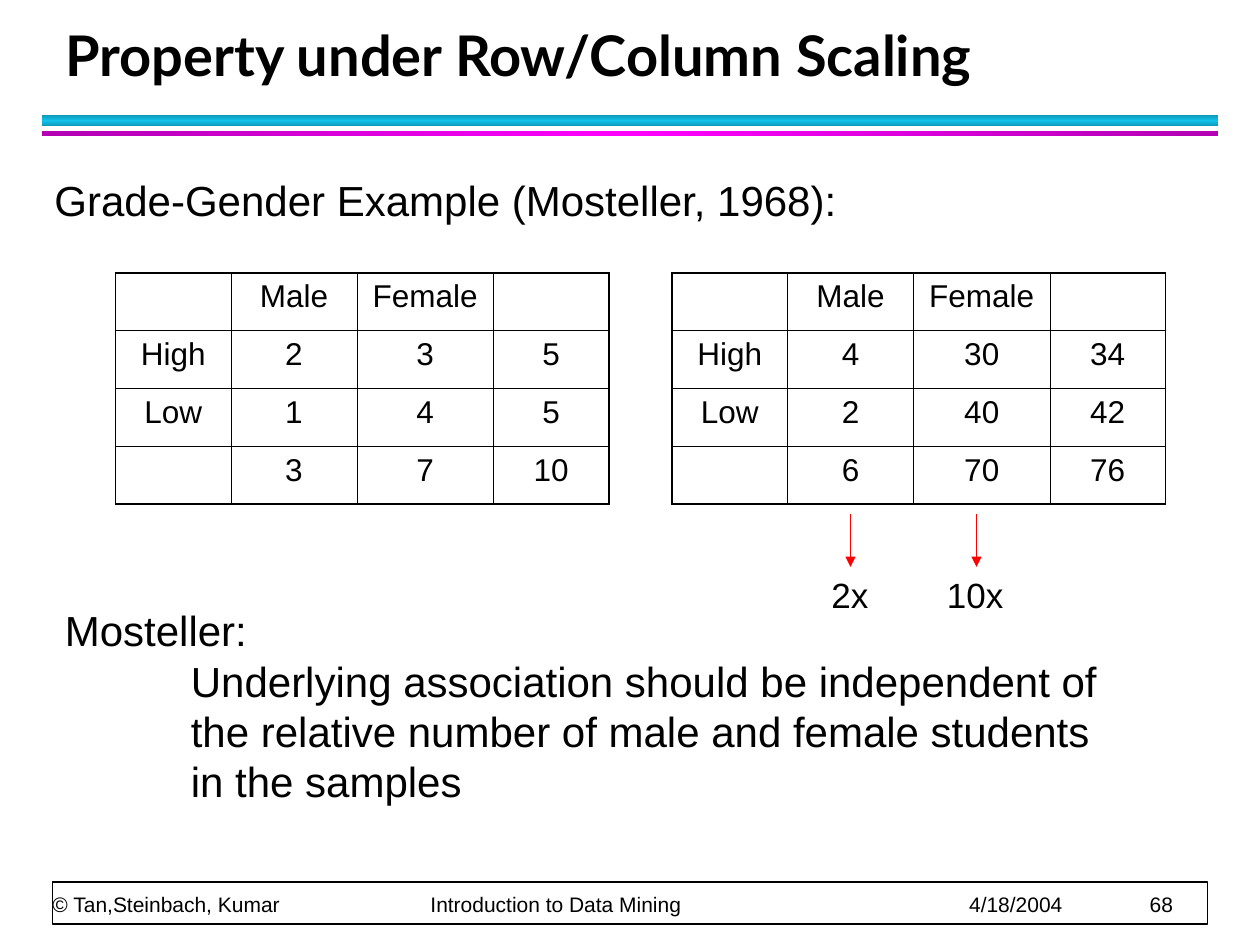
"""Build a slide on how row and column scaling affects a two-way table."""
import copy

import pptx
import pptx.dml.color
import pptx.enum.shapes
import pptx.enum.text
import pptx.oxml
import pptx.oxml.ns
import pptx.util

Pt = pptx.util.Pt
Anchor = pptx.enum.text.MSO_ANCHOR
Align = pptx.enum.text.PP_ALIGN
RECTANGLE = pptx.enum.shapes.MSO_SHAPE.RECTANGLE

COLORS = {
    "ink": "000000",
    "paper": "FFFFFF",
    "arrow": "FF0000",
    "teal_edge": "0E9BBA",
    "teal_core": "12C2E9",
    "magenta_edge": "B200B2",
    "magenta_core": "FF00FF",
}


def color(name):
    """Return the named colour."""
    return pptx.dml.color.RGBColor.from_string(COLORS[name])


def grid(*cells):
    """Turn counts of grid columns or rows, twelve to the inch, into lengths."""
    return [pptx.util.Inches(cell / 12) for cell in cells]


def add_xml(parent, tag, **attributes):
    """Append a drawing element and return it."""
    element = pptx.oxml.parse_xml(f"<a:{tag} {pptx.oxml.ns.nsdecls('a')}/>")
    for key, value in attributes.items():
        element.set(key, str(value))
    parent.append(element)
    return element


class ScalingSlide:
    """Holds the style and the current slide, on a grid of 120 columns by 90 rows."""

    font = "Arial"
    title_font = "Lato"
    thin, thick = Pt(0.45), Pt(1.08)

    def __init__(self, deck):
        """Open a title-only slide."""
        self.page = deck.slides.add_slide(deck.slide_layouts[5])

    def add_span(self, para, text, size, font=None, bold=False):
        """Add one styled run."""
        span = para.add_run()
        span.text = text
        span.font.size = Pt(size)
        span.font.name = font or self.font
        span.font.bold = bold
        span.font.color.rgb = color("ink")

    def title(self, text, *place):
        """Place and fill the title."""
        box = self.page.shapes.title
        box.left, box.top, box.width, box.height = grid(*place)
        frame = box.text_frame
        frame.auto_size = pptx.enum.text.MSO_AUTO_SIZE.NONE
        frame.vertical_anchor = Anchor.BOTTOM
        para = frame.paragraphs[0]
        para.alignment = Align.LEFT
        para.line_spacing = Pt(36)
        self.add_span(para, text, 32, self.title_font, True)

    def rectangle(self, *place):
        """Add a plain rectangle without shadow."""
        shape = self.page.shapes.add_shape(RECTANGLE, *grid(*place))
        shape.shadow.inherit = False
        return shape

    def band(self, hue, angle, *place):
        """Add a band that shades from its edges to its core."""
        shape = self.rectangle(*place)
        shape.line.fill.background()
        shape.fill.gradient()
        shape.fill.gradient_angle = angle
        edge, core = shape.fill.gradient_stops
        edge.color.rgb, edge.position = color(f"{hue}_edge"), 0
        core.color.rgb, core.position = color(f"{hue}_core"), 0.5
        stops = shape._element.spPr.find(".//" + pptx.oxml.ns.qn("a:gsLst"))
        stops.append(copy.deepcopy(stops[0]))
        shape.fill.gradient_stops[2].position = 1

    def text(self, lines, size, *place):
        """Add a text box from pairs of indent columns and wording."""
        frame = self.page.shapes.add_textbox(*grid(*place)).text_frame
        frame.word_wrap = True
        for index, (indent, wording) in enumerate(lines):
            para = frame.add_paragraph() if index else frame.paragraphs[0]
            para.line_spacing = Pt(size * 1.2)
            properties = para._p.get_or_add_pPr()
            properties.set("marL", str(grid(indent)[0]))
            properties.set("indent", "0")
            self.add_span(para, wording, size)

    def footer(self, parts, stops, *place):
        """Add the framed footer with its parts at tab stops."""
        frame_box = self.rectangle(5, 84, 110, 4)
        frame_box.fill.solid()
        frame_box.fill.fore_color.rgb = color("paper")
        frame_box.line.color.rgb = color("ink")
        frame_box.line.width = Pt(1)
        frame = self.page.shapes.add_textbox(*grid(*place)).text_frame
        frame.word_wrap = True
        frame.vertical_anchor = Anchor.BOTTOM
        frame.margin_left = frame.margin_right = 0
        frame.margin_top = frame.margin_bottom = 0
        para = frame.paragraphs[0]
        para.line_spacing = Pt(20)
        tabs = add_xml(para._p.get_or_add_pPr(), "tabLst")
        for stop in grid(*stops):
            add_xml(tabs, "tab", pos=stop, algn="l")
        self.add_span(para, "\t".join(parts), 12)

    def border(self, cell, sides):
        """Draw the cell's edges, thick where the flag is set."""
        for side, outer in sides.items():
            line = add_xml(cell._tc.get_or_add_tcPr(), f"ln{side}",
                           w=self.thick if outer else self.thin)
            add_xml(add_xml(line, "solidFill"), "srgbClr", val=COLORS["ink"])

    def table(self, rows, widths, row_height, left, top):
        """Add a ruled table with a heavier outer frame."""
        last_row, last_column = len(rows) - 1, len(widths) - 1
        place = grid(left, top, sum(widths), row_height * len(rows))
        table = self.page.shapes.add_table(len(rows), len(widths), *place).table
        table.first_row = table.horz_banding = False
        for column, width in zip(table.columns, grid(*widths)):
            column.width = width
        for r, values in enumerate(rows):
            table.rows[r].height = grid(row_height)[0]
            for c, value in enumerate(values):
                cell = table.cell(r, c)
                self.border(cell, {"L": c == 0, "R": c == last_column,
                                   "T": r == 0, "B": r == last_row})
                cell.fill.background()
                para = cell.text_frame.paragraphs[0]
                para.alignment = Align.CENTER
                if value:
                    self.add_span(para, value, 18)

    def arrow(self, column, top, bottom):
        """Add a downward arrow."""
        line = self.page.shapes.add_connector(
            pptx.enum.shapes.MSO_CONNECTOR.STRAIGHT,
            *grid(column, top, column, bottom))
        line.line.color.rgb = color("arrow")
        line.line.width = Pt(1)
        properties = line._element.spPr
        add_xml(properties.find(pptx.oxml.ns.qn("a:ln")), "tailEnd", type="triangle")
        add_xml(properties, "effectLst")


def main():
    """Build and save the deck."""
    deck = pptx.Presentation()
    deck.slide_width, deck.slide_height = grid(120, 90)
    slide = ScalingSlide(deck)
    slide.band("teal", 90, 4, 11, 112, 1)
    slide.band("magenta", 0, 4, 12.5, 112, 0.5)
    slide.footer(["© Tan,Steinbach, Kumar", "Introduction to Data Mining", "4/18/2004", "68"],
                 [36, 87.3, 104.5], 5, 80.6, 110, 6.75)
    slide.title("Property under Row/Column Scaling", 5, 2, 108.7, 7)

    heading = ["", "Male", "Female", ""]
    samples = [
        (11, [["High", "2", "3", "5"], ["Low", "1", "4", "5"], ["", "3", "7", "10"]]),
        (64, [["High", "4", "30", "34"], ["Low", "2", "40", "42"], ["", "6", "70", "76"]]),
    ]
    for left, counts in samples:
        slide.table([heading] + counts, [11, 12, 13, 11], 5.5, left, 26)

    slide.text([(0, "Grade-Gender Example (Mosteller, 1968):")], 24, 4, 16, 101, 6)
    slide.text([(0, "Mosteller:"),
                (12, "Underlying association should be independent of the relative "
                     "number of male and female students in the samples")],
               24, 5, 57, 101, 20.4)
    for column, label_left, factor in [(81, 78, "2x"), (93, 89, "10x")]:
        slide.arrow(column, 49, 54)
        slide.text([(0, factor)], 20, label_left, 54, 8, 5.25)
    deck.save("out.pptx")


if __name__ == "__main__":
    main()
